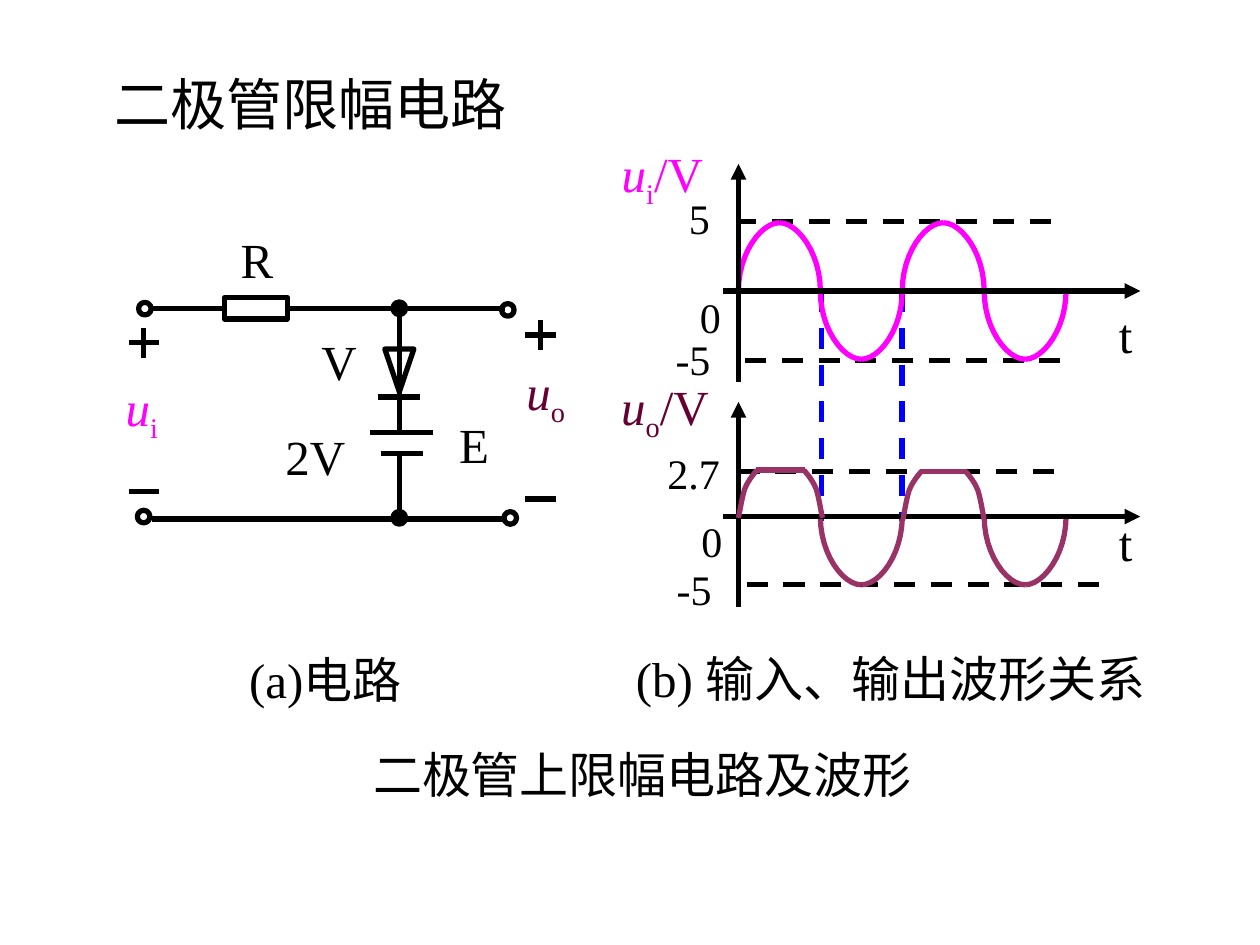
from dataclasses import dataclass

from lxml.etree import SubElement
from pptx import Presentation
from pptx.dml.color import RGBColor as RGB
from pptx.enum.dml import MSO_LINE
from pptx.enum.shapes import MSO_CONNECTOR as CONN, MSO_SHAPE as SHAPE
from pptx.enum.text import MSO_ANCHOR as ANCHOR, MSO_AUTO_SIZE as FIT, PP_ALIGN as ALIGN
from pptx.oxml.ns import qn
from pptx.util import Pt


@dataclass(frozen=True)
class Theme:
    ink: RGB = RGB(0, 0, 0)
    input: RGB = RGB(0xFF, 0, 0xFF)
    output: RGB = RGB(0x66, 0, 0x33)
    output_wave: RGB = RGB(0x99, 0x33, 0x66)
    guide: RGB = RGB(0, 0, 0xFF)
    font: str = "Times New Roman"
    title: int = 32
    text: int = 28
    tick: int = 24
    stroke: int = 3


def bezier(p0, p1, p2, p3, steps=12):
    """Points along a cubic curve, without its first point."""
    for i in range(1, steps + 1):
        t = i / steps
        weights = ((1 - t) ** 3, 3 * t * (1 - t) ** 2, 3 * t * t * (1 - t), t ** 3)
        yield tuple(sum(w * p[axis] for w, p in zip(weights, (p0, p1, p2, p3)))
                    for axis in (0, 1))


class Sketch:
    def __init__(self, slide, theme):
        self.slide, self.theme = slide, theme

    def font(self, paragraph, size, color):
        paragraph.font.name = self.theme.font
        paragraph.font.size = Pt(size)
        paragraph.font.color.rgb = color

    def title(self, text, left, top, width, height):
        box = self.slide.shapes.title
        box.left, box.top, box.width, box.height = map(Pt, (left, top, width, height))
        frame = box.text_frame
        frame.auto_size, frame.vertical_anchor = FIT.NONE, ANCHOR.TOP
        frame.text = text
        frame.paragraphs[0].alignment = ALIGN.LEFT
        self.font(frame.paragraphs[0], self.theme.title, self.theme.ink)

    def label(self, text, left, top, width, height=41, size=None, color=None):
        frame = self.slide.shapes.add_textbox(*map(Pt, (left, top, width, height))).text_frame
        frame.word_wrap, frame.vertical_anchor = False, ANCHOR.MIDDLE
        frame.margin_left = frame.margin_right = 0
        paragraph = frame.paragraphs[0]
        paragraph.alignment = ALIGN.CENTER
        self.font(paragraph, size or self.theme.text, color or self.theme.ink)
        if text:
            paragraph.add_run().text = text
        return paragraph

    def voltage(self, subscript, unit, left, top, width, color):
        """An italic u with a subscript, and a unit if there is one."""
        paragraph = self.label("", left, top, width, 45, color=color)
        symbol, index = paragraph.add_run(), paragraph.add_run()
        symbol.text, index.text = "u", subscript
        symbol.font.italic = True
        index._r.get_or_add_rPr().set("baseline", "-25000")
        if unit:
            paragraph.add_run().text = unit

    def stroke(self, shape, color=None):
        shape.line.color.rgb = color or self.theme.ink
        shape.line.width = Pt(self.theme.stroke)

    def line(self, x1, y1, x2, y2, color=None, dashed=False, arrow=False):
        wire = self.slide.shapes.add_connector(CONN.STRAIGHT, *map(Pt, (x1, y1, x2, y2)))
        self.stroke(wire, color)
        if dashed:
            wire.line.dash_style = MSO_LINE.DASH
        if arrow:
            SubElement(wire.line._get_or_add_ln(), qn("a:tailEnd"), type="triangle")
        SubElement(wire._element.spPr, qn("a:effectLst"))
        return wire

    def shape(self, kind, left, top, width, height, filled=False):
        part = self.slide.shapes.add_shape(kind, *map(Pt, (left, top, width, height)))
        part.shadow.inherit = False
        self.stroke(part)
        if filled:
            part.fill.solid()
            part.fill.fore_color.rgb = self.theme.ink
        else:
            part.fill.background()
        return part

    def node(self, x, y, filled=False):
        self.shape(SHAPE.OVAL, x - 3.6, y - 3.6, 7.2, 7.2, filled)

    def sign(self, x, y, plus):
        self.line(x - 8.6, y, x + 8.6, y)
        if plus:
            self.line(x, y - 8.6, x, y + 8.6)

    def curve(self, points, color):
        """A smooth path: a start, then two handles and an end per piece."""
        path = [points[0]]
        for i in range(0, len(points) - 1, 3):
            path += bezier(*points[i:i + 4])
        (x, y), *rest = [(Pt(px), Pt(py)) for px, py in path]
        builder = self.slide.shapes.build_freeform(x, y)
        builder.add_line_segments(rest, close=False)
        trace = builder.convert_to_shape()
        trace.shadow.inherit = False
        trace.fill.background()
        self.stroke(trace, color)

    def half_wave(self, start, base, width, rise, color):
        """Two quarter ellipses; rise is negative for an upward half."""
        peak = start + width / 2
        for foot in (start, start + width):
            self.curve([(foot, base), (foot, base + 0.55 * rise),
                        (peak + 0.45 * (foot - peak), base + rise), (peak, base + rise)], color)

    def shoulder(self, foot, base, side, color):
        """The edge of a clipped half; side is 1 when it rises rightwards."""
        outline = [(0, 0), (0.7, -3), (2, -11.5), (3.6, -16.5),
                   (5.5, -21), (7.8, -24), (10.6, -27.3)]
        self.curve([(foot + side * x, base + y) for x, y in outline], color)


def draw_waveforms(sketch):
    theme = sketch.theme
    origin, half = 422, 46.8
    input_base, output_base, swing = 166.3, 295.2, 39
    crossings = [origin + half * k for k in range(5)]

    # Guides between the two plots and at the limits
    for x in (469.5, 515.5):
        sketch.line(x, input_base, x, 298, theme.guide, dashed=True)
    for right, left, y in ((600.5, origin, 126.7), (606, 420, 206), (628, 422.6, 334)):
        sketch.line(right, y, left, y, dashed=True)

    # Input wave, and the lower halves of the output wave
    for k, start in enumerate(crossings[:4]):
        sketch.half_wave(start, input_base, half, swing if k % 2 else -swing, theme.input)
    for start in crossings[1:4:2]:
        sketch.half_wave(start, output_base, half, swing, theme.output_wave)

    # Axes
    for base, bottom, top, t_top in ((input_base, 218.2, 93.6, 170.6),
                                     (output_base, 347, 229.7, 289.4)):
        sketch.line(413.3, base, 651.6, base, arrow=True)
        sketch.line(origin, bottom, origin, top, arrow=True)
        sketch.label("t", 632, t_top, 22.5)

    # Clipped upper halves of the output wave
    sketch.line(origin, 269.3, 609, 269.3, dashed=True)
    for foot, end, level in ((422, 470, 268.6), (516, 562.4, 269.3)):
        sketch.shoulder(foot, level + 27.3, 1, theme.output_wave)
        sketch.shoulder(end, level + 27.3, -1, theme.output_wave)
        sketch.line(foot + 10, level, end - 10, level, theme.output_wave)

    # Axis names and values
    sketch.voltage("i", "/V", 342.5, 78.5, 72, theme.input)
    sketch.voltage("o", "/V", 344.5, 211.7, 71, theme.output)
    for value, left, top, width in (("5", 386.6, 106.6, 26), ("0", 393, 162.7, 26),
                                    ("-5", 378.7, 187.2, 34.6), ("2.7", 374.4, 252, 44),
                                    ("0", 393.8, 290.9, 26), ("-5", 379.4, 318.2, 34.6)):
        sketch.label(value, left, top, width, 36, theme.tick)
    sketch.label("(b) 输入、输出波形关系", 349.5, 367, 319)


def draw_circuit(sketch):
    theme = sketch.theme
    rail_top, rail_bottom, branch, battery = 176.2, 296.6, 228.2, 229.5

    # Resistor and rails
    resistor = sketch.shape(SHAPE.RECTANGLE, 128.2, rail_top - 6.1, 36, 12.2)
    sketch.line(164.2, rail_top, 288.7, rail_top).begin_connect(resistor, 3)
    sketch.line(128.2, rail_top, 87, rail_top).begin_connect(resistor, 1)
    sketch.line(87, rail_bottom, 288.7, rail_bottom)

    # Diode and battery branch
    sketch.line(branch, rail_top, branch, 245.5)
    sketch.line(branch, 260.6, branch, rail_bottom)
    sketch.shape(SHAPE.ISOSCELES_TRIANGLE, branch - 8.3, 199.4, 16.6, 24.5).rotation = 180
    for x, y, reach in ((branch, 226.8, 12), (battery, 247, 18), (battery, 259.2, 12)):
        sketch.line(x - reach, y, x + reach, y)

    # Terminals and junctions
    for x, y in ((82.8, 176.4), (82.1, 295.2), (290.2, 177.1), (291.6, 296)):
        sketch.node(x, y)
    for y in (rail_top, rail_bottom - 0.7):
        sketch.node(branch, y, filled=True)

    # Polarity
    for x, y, plus in ((82.1, 195.8, True), (82.1, 280.8, False),
                       (308.9, 191.5, True), (308.9, 285.1, False)):
        sketch.sign(x, y, plus)

    # Names
    for name, left, top, width in (("R", 130.3, 127.4, 33), ("V", 176.4, 185.8, 34.6),
                                   ("2V", 156.2, 239.8, 48), ("E", 255, 233.3, 31.7),
                                   ("(a)电路", 131.8, 367.2, 108)):
        sketch.label(name, left, top, width)
    sketch.voltage("i", "", 64.8, 212.4, 32.4, theme.input)
    sketch.voltage("o", "", 293.8, 203, 36, theme.output)


def main():
    deck = Presentation()
    deck.slide_width, deck.slide_height = Pt(720), Pt(540)
    sketch = Sketch(deck.slides.add_slide(deck.slide_layouts[5]), Theme())
    sketch.title("二极管限幅电路", 58.3, 36, 322, 46)
    sketch.label("二极管上限幅电路及波形", 206, 422, 322)
    draw_waveforms(sketch)
    draw_circuit(sketch)
    deck.save("out.pptx")


if __name__ == "__main__":
    main()
